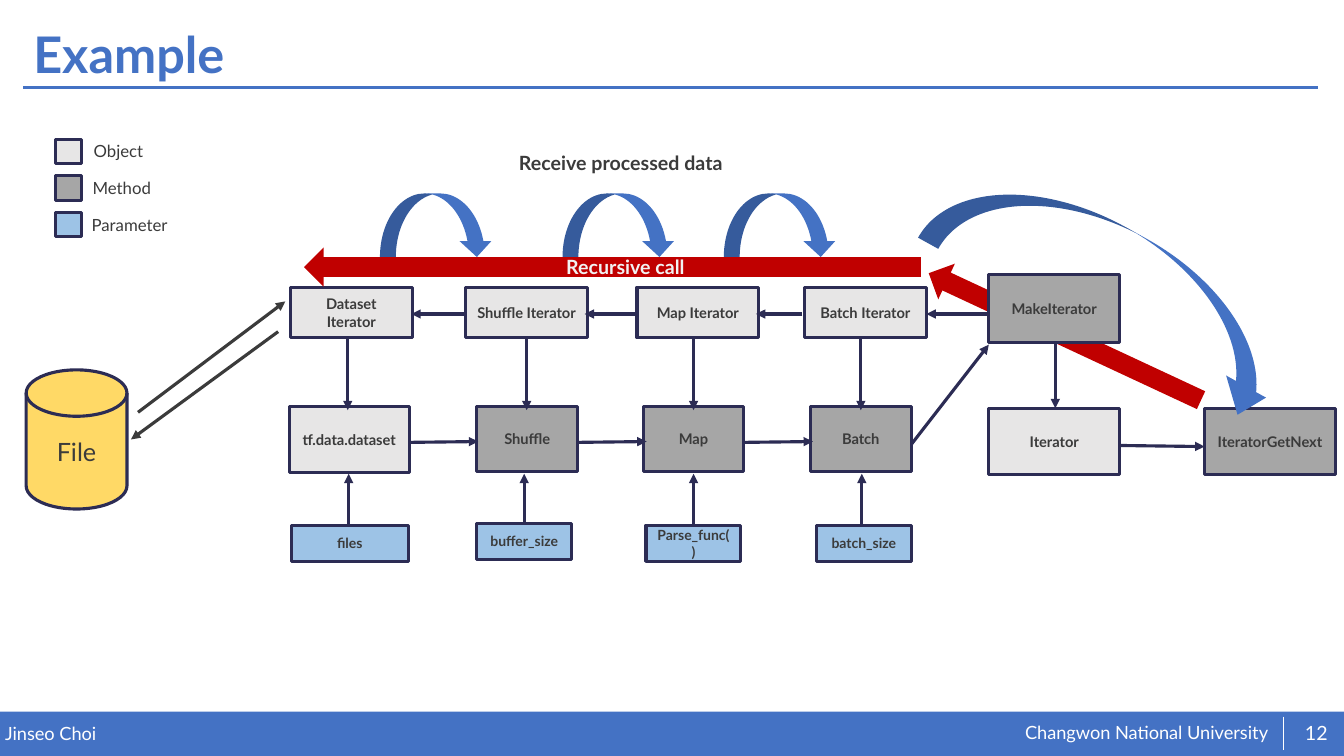
from dataclasses import dataclass

from lxml import etree
from pptx import Presentation
from pptx import util as u
from pptx.dml import color
from pptx.enum import shapes, text
from pptx.oxml import ns

FONT = "Lato"
COLORS = {
    "blue": "4472C4", "white": "FFFFFF", "red": "C00000", "navy": "2C2C54",
    "ink": "3B3B3B", "object": "E7E6E6", "method": "A6A6A6",
    "parameter": "9DC3E6", "yellow": "FFD966", "pale": "F2F2F2",
}
SHAPE = shapes.MSO_SHAPE
ALIGN = text.PP_ALIGN
ANCHOR = text.MSO_ANCHOR


@dataclass
class Box:
    label: str
    kind: str
    x: float
    y: float
    w: float
    h: float
    size: float = 10.5


@dataclass
class Line:
    x1: float
    y1: float
    x2: float
    y2: float
    color: str = "navy"
    width: float = 2.25
    arrow: bool = True


@dataclass
class Arrow:
    shape: SHAPE
    x: float
    y: float
    w: float
    h: float
    color: str
    rotation: float = 0
    adjustments: tuple[float, ...] = ()


@dataclass
class Label:
    words: str
    x: float
    y: float
    w: float
    h: float
    size: float
    color: str = "ink"
    bold: bool = False
    inset: bool = True
    align: ALIGN = ALIGN.LEFT
    anchor: ANCHOR = ANCHOR.TOP


def rgb(name: str) -> color.RGBColor:
    return color.RGBColor.from_string(COLORS[name])


def write(tf, words: str, size: float, ink: str, bold: bool, align: ALIGN, anchor: ANCHOR):
    tf.word_wrap = True
    tf.vertical_anchor = anchor
    p = tf.paragraphs[0]
    p.alignment = align
    r = p.add_run()
    r.text = words
    for key, value in {"name": FONT, "size": u.Pt(size), "bold": bold}.items():
        setattr(r.font, key, value)
    r.font.color.rgb = rgb(ink)
    return p


def add_filled(s, shape: SHAPE, x: float, y: float, w: float, h: float, fill: str,
               outline: str | None = None):
    sp = s.shapes.add_shape(shape, *map(u.Pt, (x, y, w, h)))
    sp.shadow.inherit = False
    sp.fill.solid()
    sp.fill.fore_color.rgb = rgb(fill)
    if outline:
        sp.line.color.rgb = rgb(outline)
        sp.line.width = u.Pt(2.25)
    else:
        sp.line.fill.background()
    return sp


def add_box(s, box: Box) -> None:
    sp = add_filled(s, SHAPE.RECTANGLE, box.x, box.y, box.w, box.h, box.kind, "navy")
    if box.label:
        write(sp.text_frame, box.label, box.size, "ink", True, ALIGN.CENTER, ANCHOR.MIDDLE)


def add_line(s, line: Line) -> None:
    ends = map(u.Pt, (line.x1, line.y1, line.x2, line.y2))
    cx = s.shapes.add_connector(shapes.MSO_CONNECTOR.STRAIGHT, *ends)
    cx.line.color.rgb = rgb(line.color)
    cx.line.width = u.Pt(line.width)
    if line.arrow:
        etree.SubElement(cx.line._get_or_add_ln(), ns.qn("a:tailEnd"), type="triangle")
    etree.SubElement(cx._element.spPr, ns.qn("a:effectLst"))


def add_arrow(s, arrow: Arrow) -> None:
    sp = add_filled(s, arrow.shape, arrow.x, arrow.y, arrow.w, arrow.h, arrow.color)
    sp.rotation = arrow.rotation
    for i, value in enumerate(arrow.adjustments):
        sp.adjustments[i] = value


def add_label(s, label: Label) -> None:
    sp = s.shapes.add_textbox(*map(u.Pt, (label.x, label.y, label.w, label.h)))
    tf = sp.text_frame
    if not label.inset:
        for side in ("left", "top", "right", "bottom"):
            setattr(tf, f"margin_{side}", 0)
    write(tf, label.words, label.size, label.color, label.bold, label.align, label.anchor)


def add_title(s, words: str) -> None:
    title = s.shapes.title
    place = {"left": 16.56, "top": 12.96, "width": 925.92, "height": 55.44}
    for key, value in place.items():
        setattr(title, key, u.Pt(value))
    p = write(title.text_frame, words, 36, "blue", True, ALIGN.LEFT, ANCHOR.MIDDLE)
    p.line_spacing = 0.9


BOXES = [
    *(Box(f"{name} Iterator", "object", x, 205.2, 87.1, 36) for name, x in
      (("Dataset", 207.4), ("Shuffle", 332.6), ("Map", 455), ("Batch", 574.6))),
    Box("tf.data.dataset", "object", 206.6, 290.2, 85.7, 47.5),
    *(Box(name, "method", x, 290.2, 72, 46.8) for name, x in
      (("Shuffle", 340.6), ("Map", 459.4), ("Batch", 578.9))),
    Box("files", "parameter", 208.1, 375.1, 83.5, 25.9, 10),
    *(Box(name, "parameter", x, y, 67.7, 25.9, 10) for name, x, y in
      (("buffer_size", 340.6, 373.7), ("Parse_func()", 461.5, 375.1),
       ("batch_size", 583.2, 375.1))),
    Box("MakeIterator", "method", 706.3, 195.8, 93.6, 49),
    Box("Iterator", "object", 706.3, 291.6, 93.6, 47.5),
    Box("IteratorGetNext", "method", 860.4, 291.6, 93.6, 47.5),
]

LINES = [
    *(Line(x, 241.2, x, 293) for x in (248.4, 376.2, 495.4, 614.9)),
    *(Line(x, 374, x, 338.4) for x in (249.1, 374.4, 495.4, 615.6)),
    *(Line(x, 316, x + 49.3, 315.4) for x in (292.3, 412.6, 531.4)),
    *(Line(x1, 224.3, x2, 224.3) for x1, x2 in
      ((331.9, 293.8), (455.8, 417.6), (573.1, 540), (706.3, 661.7))),
    Line(753.8, 244.8, 753.8, 291.6),
    Line(799.2, 318.2, 860.4, 319),
    Line(650.9, 317.5, 706.3, 246.2),
    Line(198.7, 236.9, 93.6, 313.9, "ink"),
    Line(98.6, 294.5, 203.8, 215.3, "ink"),
]

CALL_ARROWS = [
    Arrow(SHAPE.DOWN_ARROW, 423.4, -29.5, 28.1, 440.6, "red", 90),
    *(Arrow(SHAPE.CURVED_DOWN_ARROW, x, 138.2, 80.6, 45.4, "blue")
      for x in (271.4, 401.8, 517)),
    Arrow(SHAPE.CURVED_DOWN_ARROW, 657.4, 163.4, 277.2, 78.5, "blue", 29,
          (0.21, 0.415, 0.262)),
]

LABELS = [
    Label("Recursive call", 397.4, 178.6, 216, 24.5, 14, "pale", True),
    Label("Receive processed data", 363.6, 104.4, 216, 24.5, 14, bold=True),
    Label("Jinseo Choi", 3.6, 516.2, 471.6, 15.8, 13, "white", inset=False),
    Label("Changwon National University", 732.2, 515.5, 192, 16.6, 13, "white", inset=False),
    Label("12", 923, 509, 34.6, 28.8, 14, "white", inset=False,
          align=ALIGN.CENTER, anchor=ANCHOR.MIDDLE),
]


def main() -> None:
    prs = Presentation()
    prs.slide_width, prs.slide_height = u.Pt(960), u.Pt(540)
    s = prs.slides.add_slide(prs.slide_layouts[5])
    add_title(s, "Example")
    add_filled(s, SHAPE.RECTANGLE, 0, 508.3, 960, 31.7, "blue")
    add_line(s, Line(16.6, 62.6, 941.8, 62.6, "blue", 2, False))
    add_line(s, Line(916.6, 511.9, 916.6, 535.7, "white", 0.5, False))

    add_arrow(s, Arrow(SHAPE.DOWN_ARROW, 746.6, 133.2, 28.1, 214.6, "red", 115))
    for box in BOXES:
        add_box(s, box)
    for line in LINES:
        add_line(s, line)

    for i, kind in enumerate(("object", "method", "parameter")):
        add_box(s, Box("", kind, 39.6, 99.4 + 26.3 * i, 18.7, 17.3))
        add_label(s, Label(kind.title(), 59.8 - 0.7 * i, 97.2 + 26.3 * i, 72, 21.6, 12))

    disk = add_filled(s, SHAPE.FLOWCHART_MAGNETIC_DISK, 18.7, 264.2, 72, 99.4,
                      "yellow", "navy")
    write(disk.text_frame, "File", 18, "ink", False, ALIGN.CENTER, ANCHOR.MIDDLE)
    for arrow in CALL_ARROWS:
        add_arrow(s, arrow)
    for label in LABELS:
        add_label(s, label)
    prs.save("out.pptx")


if __name__ == "__main__":
    main()
